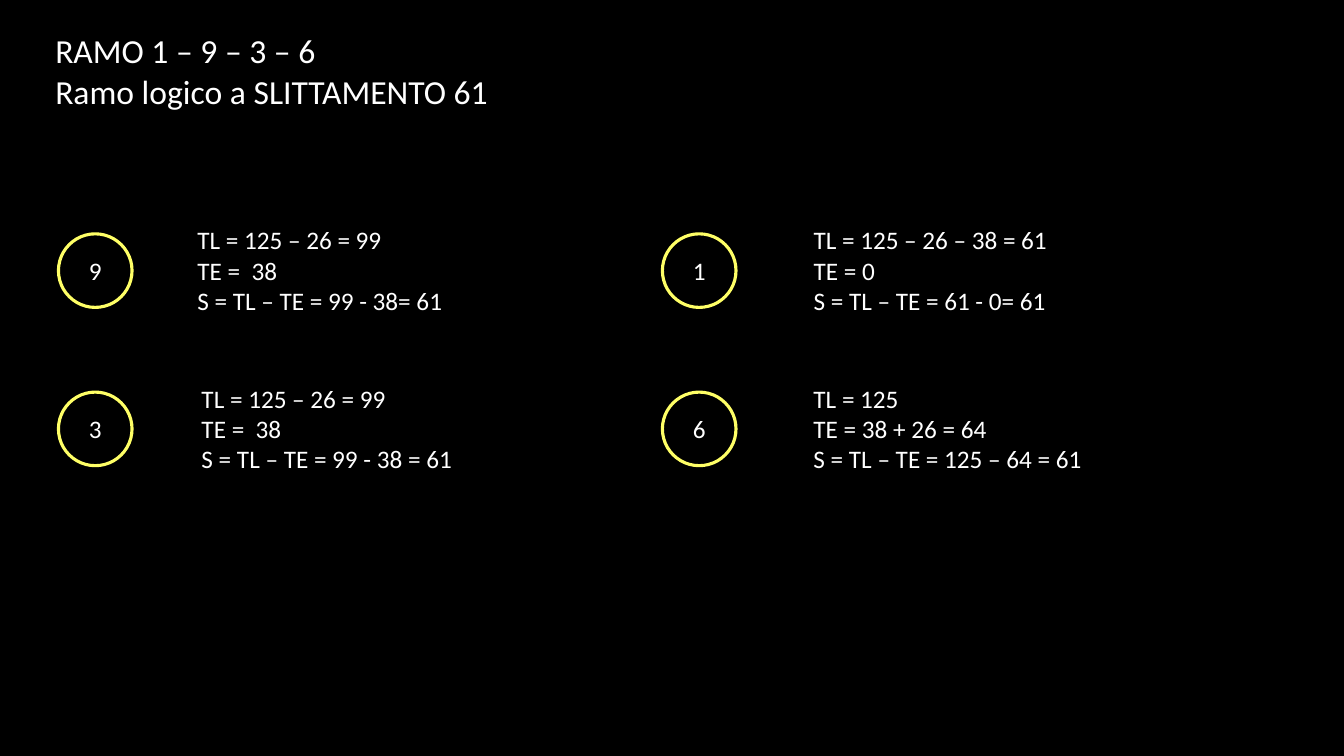
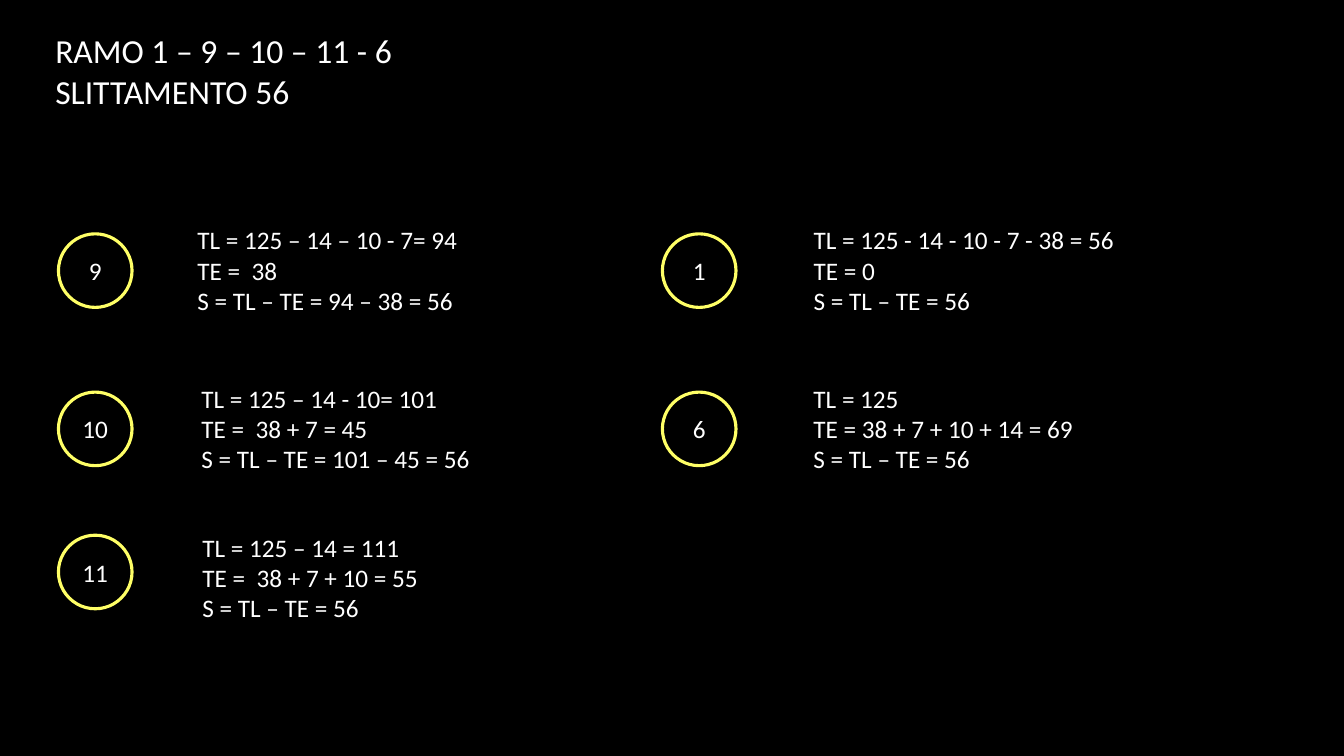
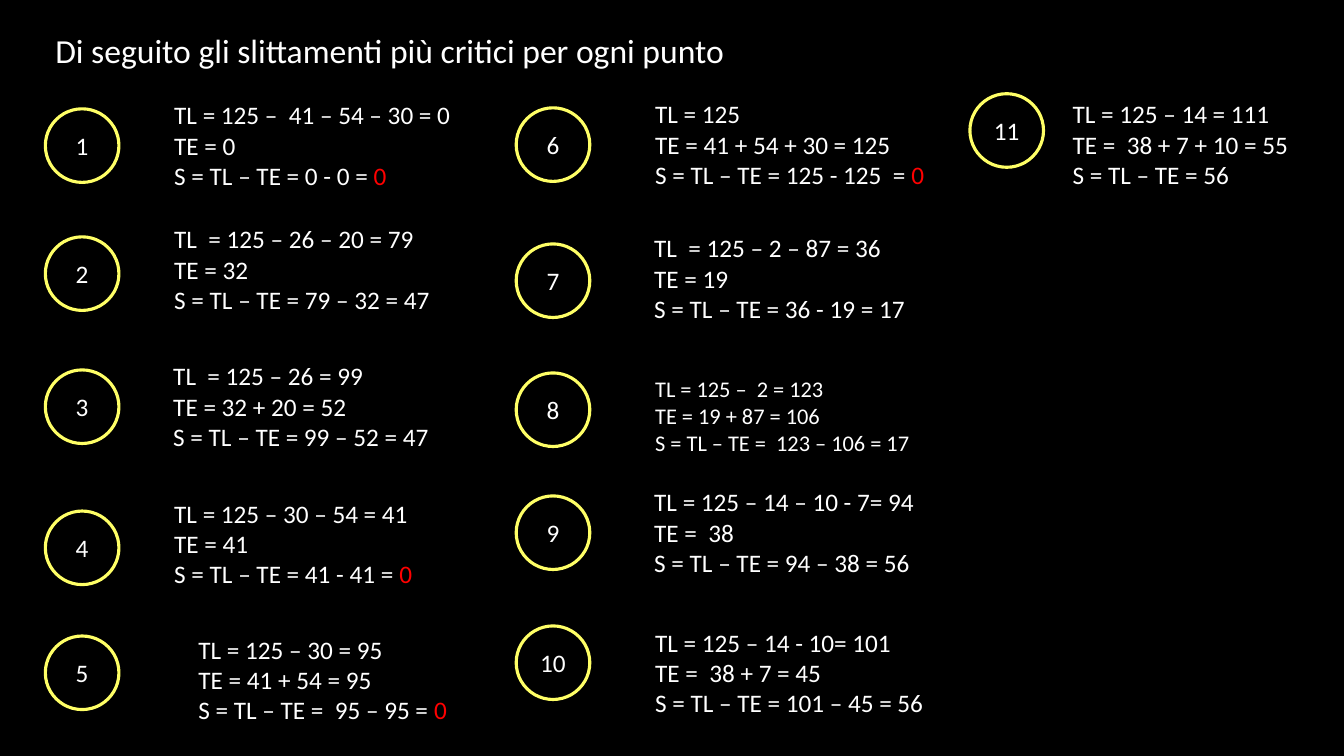
from dataclasses import dataclass

from pptx import Presentation
from pptx.dml.color import RGBColor
from pptx.enum.shapes import MSO_SHAPE
from pptx.enum.text import MSO_ANCHOR, MSO_AUTO_SIZE, PP_ALIGN
from pptx.util import Inches, Pt

# Shared style
FONT = "Calibri"
BLACK, WHITE, YELLOW, RED = "000000", "FFFFFF", "FFFF66", "FF0000"
TITLE_SIZE, BODY_SIZE = 24, 18
DIAMETER = 0.73
WRAPPED_WIDTH = 3.03


@dataclass(frozen=True)
class Calculation:
    """Latest time, earliest time and slack; a critical slack ends in red."""
    lines: tuple[str, str, str]
    width: float = WRAPPED_WIDTH
    size: int = BODY_SIZE
    critical: bool = False

    @property
    def height(self) -> float:
        return 1.01 if self.size == BODY_SIZE else 0.91


@dataclass(frozen=True)
class Node:
    number: int
    left: float
    top: float
    text_left: float
    text_top: float
    calculation: Calculation


@dataclass(frozen=True)
class Page:
    title: tuple[str, ...]
    title_width: float
    nodes: tuple[Node, ...]


# Calculations shown on more than one slide
POINT_9 = Calculation(("TL = 125 – 14 – 10 - 7= 94", "TE =  38", "S = TL – TE = 94 – 38 = 56"), 2.81)
POINT_10 = Calculation(("TL = 125 – 14 - 10= 101", "TE =  38 + 7 = 45", "S = TL – TE = 101 – 45 = 56"), 2.9)
POINT_11 = Calculation(("TL = 125 – 14 = 111", "TE =  38 + 7 + 10 = 55", "S = TL – TE = 56"), 2.37)

# Grid of the two branch slides: (circle left, circle top, text left, text top)
LEFT_COLUMN, RIGHT_COLUMN = 0.58, 6.57
RIGHT_TEXT = 7.97
FIRST_ROW, SECOND_ROW, THIRD_ROW = (2.32, 2.18), (3.89, 3.75), (5.31, 5.23)
TOP_LEFT = (LEFT_COLUMN, FIRST_ROW[0], 1.86, FIRST_ROW[1])
MIDDLE_LEFT = (LEFT_COLUMN, SECOND_ROW[0], 1.9, SECOND_ROW[1])
BOTTOM_LEFT = (LEFT_COLUMN, THIRD_ROW[0], 1.91, THIRD_ROW[1])
TOP_RIGHT = (RIGHT_COLUMN, FIRST_ROW[0], RIGHT_TEXT, FIRST_ROW[1])
MIDDLE_RIGHT = (RIGHT_COLUMN, SECOND_ROW[0], RIGHT_TEXT, SECOND_ROW[1])

# Circle columns of the summary slide
FIRST, SECOND, THIRD = 0.45, 5.12, 9.62

PAGES = (
    Page(("RAMO 1 – 9 – 3 – 6", "Ramo logico a SLITTAMENTO 61"), 4.83, (
        Node(1, *TOP_RIGHT, Calculation(
            ("TL = 125 – 26 – 38 = 61", "TE = 0", "S = TL – TE = 61 - 0= 61"), 2.59)),
        Node(3, *MIDDLE_LEFT, Calculation(
            ("TL = 125 – 26 = 99", "TE =  38", "S = TL – TE = 99 - 38 = 61"), 2.72)),
        Node(9, *TOP_LEFT, Calculation(
            ("TL = 125 – 26 = 99", "TE =  38", "S = TL – TE = 99 - 38= 61"), 2.66)),
        Node(6, *MIDDLE_RIGHT, Calculation(
            ("TL = 125", "TE = 38 + 26 = 64", "S = TL – TE = 125 – 64 = 61"), 2.9)),
    )),
    Page(("RAMO 1 – 9 – 10 – 11 - 6", "SLITTAMENTO 56"), 3.73, (
        Node(1, *TOP_RIGHT, Calculation(
            ("TL = 125 - 14 - 10 - 7 - 38 = 56", "TE = 0", "S = TL – TE = 56"), 3.22)),
        Node(10, *MIDDLE_LEFT, POINT_10),
        Node(9, *TOP_LEFT, POINT_9),
        Node(11, *BOTTOM_LEFT, POINT_11),
        Node(6, *MIDDLE_RIGHT, Calculation(
            ("TL = 125", "TE = 38 + 7 + 10 + 14 = 69", "S = TL – TE = 56"), 2.87)),
    )),
    Page(("Di seguito gli slittamenti più critici per ogni punto",), 7.71, (
        Node(1, FIRST, 1.08, 1.63, 0.94, Calculation(
            ("TL = 125 –  41 – 54 – 30 = 0", "TE = 0", "S = TL – TE = 0 - 0 = 0"), critical=True)),
        Node(2, FIRST, 2.35, 1.63, 2.17, Calculation(
            ("TL  = 125 – 26 – 20 = 79", "TE = 32", "S = TL – TE = 79 – 32 = 47"), 2.77)),
        Node(3, FIRST, 3.67, 1.62, 3.53, Calculation(
            ("TL  = 125 – 26 = 99", "TE = 32 + 20 = 52", "S = TL – TE = 99 – 52 = 47"), 2.94)),
        Node(4, FIRST, 5.07, 1.63, 4.89, Calculation(
            ("TL = 125 – 30 – 54 = 41", "TE = 41", "S = TL – TE = 41 - 41 = 0"), critical=True)),
        Node(5, FIRST, 6.31, 1.87, 6.24, Calculation(
            ("TL = 125 – 30 = 95", "TE = 41 + 54 = 95", "S = TL – TE =  95 – 95 = 0"), critical=True)),
        Node(6, SECOND, 1.07, 6.4, 0.93, Calculation(
            ("TL = 125", "TE = 41 + 54 + 30 = 125", "S = TL – TE = 125 - 125  = 0"), critical=True)),
        Node(7, SECOND, 2.42, 6.39, 2.26, Calculation(
            ("TL  = 125 – 2 – 87 = 36", "TE = 19", "S = TL – TE = 36 - 19 = 17"), 2.72)),
        Node(8, SECOND, 3.7, 6.4, 3.67, Calculation(
            ("TL = 125 –  2 = 123", "TE = 19 + 87 = 106", "S = TL – TE =  123 – 106 = 17"), size=16)),
        Node(10, SECOND, 6.21, 6.4, 6.17, POINT_10),
        Node(9, SECOND, 4.92, 6.39, 4.78, POINT_9),
        Node(11, THIRD, 0.93, 10.54, 0.93, POINT_11),
    )),
)


def color(value: str) -> RGBColor:
    return RGBColor.from_string(value)


def write_text(frame, lines, *, size=BODY_SIZE, align=PP_ALIGN.LEFT, wrap=True, critical=False) -> None:
    """Write one paragraph per line; critical turns the last character red."""
    frame.word_wrap = wrap
    for index, line in enumerate(lines):
        paragraph = frame.paragraphs[0] if index == 0 else frame.add_paragraph()
        paragraph.alignment = align
        parts = [(line, WHITE)]
        if critical and index == len(lines) - 1:
            parts = [(line[:-1], WHITE), (line[-1], RED)]
        for text, text_color in parts:
            run = paragraph.add_run()
            run.text = text
            run.font.name = FONT
            run.font.size = Pt(size)
            run.font.color.rgb = color(text_color)


def add_text(slide, lines, left: float, top: float, width: float, height: float, **text_format) -> None:
    box = slide.shapes.add_textbox(Inches(left), Inches(top), Inches(width), Inches(height))
    write_text(box.text_frame, lines, **text_format)
    box.text_frame.auto_size = MSO_AUTO_SIZE.SHAPE_TO_FIT_TEXT


def add_node(slide, node: Node) -> None:
    # Numbered circle
    circle = slide.shapes.add_shape(
        MSO_SHAPE.OVAL, Inches(node.left), Inches(node.top), Inches(DIAMETER), Inches(DIAMETER))
    circle.shadow.inherit = False
    circle.fill.background()
    circle.line.color.rgb = color(YELLOW)
    circle.line.width = Pt(2.25)
    circle.text_frame.vertical_anchor = MSO_ANCHOR.MIDDLE
    write_text(circle.text_frame, [str(node.number)], align=PP_ALIGN.CENTER)

    # Calculation beside it
    calculation = node.calculation
    add_text(slide, calculation.lines, node.text_left, node.text_top, calculation.width, calculation.height,
             size=calculation.size, wrap=calculation.width == WRAPPED_WIDTH, critical=calculation.critical)


def add_page(presentation, page: Page) -> None:
    slide = presentation.slides.add_slide(presentation.slide_layouts[6])
    title_height = 0.5 if len(page.title) == 1 else 0.91
    add_text(slide, page.title, 0.45, 0.25, page.title_width, title_height, size=TITLE_SIZE)
    for node in page.nodes:
        add_node(slide, node)


def main() -> None:
    presentation = Presentation()
    presentation.slide_width, presentation.slide_height = Inches(13.33), Inches(7.5)
    background = presentation.slide_master.background.fill
    background.solid()
    background.fore_color.rgb = color(BLACK)
    for page in PAGES:
        add_page(presentation, page)
    presentation.save("out.pptx")


if __name__ == "__main__":
    main()
